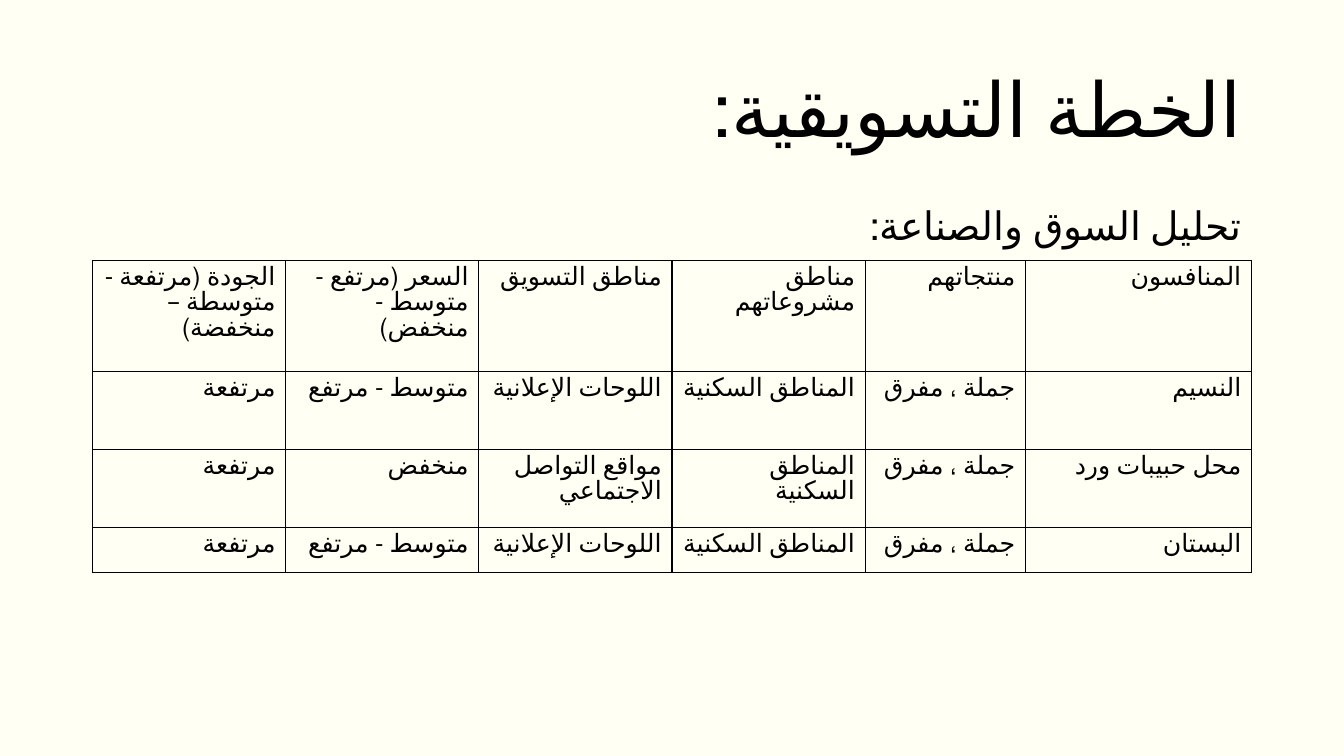
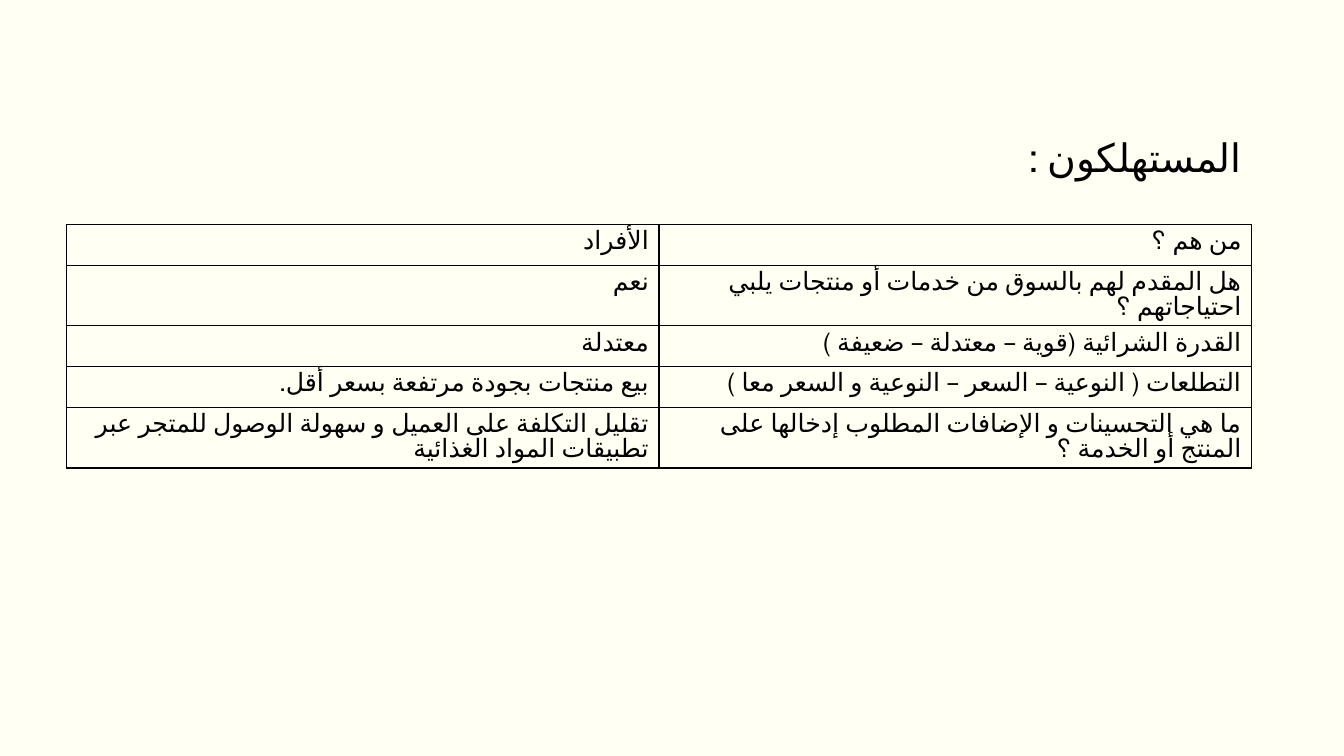
from lxml.etree import SubElement
from pptx import Presentation
from pptx.dml.color import RGBColor
from pptx.enum.text import MSO_ANCHOR, PP_ALIGN
from pptx.oxml.ns import qn
from pptx.util import Pt

BACKGROUND = RGBColor(0xFF, 0xFF, 0xF3)
INK = RGBColor(0, 0, 0)
FONT = "Calibri"
RIGHT_EDGE = 894
TEXT_WIDTH = 828

SLIDES = [
    {
        "title": "الخطة التسويقية:",
        "heading": "تحليل السوق والصناعة:",
        "heading_top": 144,
        "heading_height": 343,
        "table_top": 186,
        "columns": [138, 138, 138, 138, 114.5, 161.5],
        "heights": [79.2, 55.7, 55.7, 32.2],
        "rows": [
            ["الجودة (مرتفعة - متوسطة – منخفضة)", "السعر (مرتفع - متوسط - منخفض)",
             "مناطق التسويق", "مناطق مشروعاتهم", "منتجاتهم", "المنافسون"],
            ["مرتفعة", "متوسط - مرتفع", "اللوحات الإعلانية",
             "المناطق السكنية", "جملة ، مفرق", "النسيم"],
            ["مرتفعة", "منخفض", "مواقع التواصل الاجتماعي",
             "المناطق\nالسكنية", "جملة ، مفرق", "محل حبيبات ورد"],
            ["مرتفعة", "متوسط - مرتفع", "اللوحات الإعلانية",
             "المناطق السكنية", "جملة ، مفرق", "البستان"],
        ],
    },
    {
        "title": None,
        "heading": "المستهلكون :",
        "heading_top": 95.4,
        "heading_height": 391,
        "table_top": 160.3,
        "columns": [423.3, 423.3],
        "heights": [29.2, 42.9, 29.2, 29.2, 42.9],
        "rows": [
            ["الأفراد", "من هم ؟"],
            ["نعم", "هل المقدم لهم بالسوق من خدمات أو منتجات يلبي احتياجاتهم ؟"],
            ["معتدلة", "القدرة الشرائية (قوية – معتدلة – ضعيفة )"],
            ["بيع منتجات بجودة مرتفعة بسعر أقل.",
             "التطلعات ( النوعية – السعر – النوعية و السعر معا )"],
            ["تقليل التكلفة على العميل و سهولة الوصول للمتجر عبر تطبيقات المواد الغذائية",
             "ما هي التحسينات و الإضافات المطلوب إدخالها على المنتج أو الخدمة ؟"],
        ],
    },
]


def write_text(frame, text, size=18, line_spacing=0.9, space_before=None):
    frame.word_wrap = True
    frame.text = text
    for paragraph in frame.paragraphs:
        paragraph.alignment = PP_ALIGN.RIGHT
        paragraph.line_spacing = line_spacing
        paragraph.space_before = space_before
        paragraph._p.get_or_add_pPr().set("rtl", "1")
        for run in paragraph.runs:
            run.font.size = Pt(size)
            run.font.name = FONT
            run.font.color.rgb = INK
            run.font._element.set("lang", "ar-SA")


def add_text(slide, text, top, height, anchor=MSO_ANCHOR.TOP, **text_format):
    box = slide.shapes.add_textbox(
        Pt(RIGHT_EDGE - TEXT_WIDTH), Pt(top), Pt(TEXT_WIDTH), Pt(height))
    box.text_frame.vertical_anchor = anchor
    write_text(box.text_frame, text, **text_format)


def style_cell(cell):
    cell.fill.background()
    properties = cell._tc.get_or_add_tcPr()
    for position, side in enumerate(("a:lnL", "a:lnR", "a:lnT", "a:lnB")):
        line = SubElement(properties, qn(side), w=str(Pt(1)))
        fill = SubElement(line, qn("a:solidFill"))
        SubElement(fill, qn("a:srgbClr"), val=str(INK))
        properties.insert(position, line)


def add_grid(slide, rows, top, columns, heights):
    width = sum(columns)
    table = slide.shapes.add_table(
        len(rows), len(columns), Pt(RIGHT_EDGE - width), Pt(top),
        Pt(width), Pt(sum(heights))).table
    table.first_row = False
    table.horz_banding = False
    for column, column_width in zip(table.columns, columns):
        column.width = Pt(column_width)
    for row, height, texts in zip(table.rows, heights, rows):
        row.height = Pt(height)
        for cell, text in zip(row.cells, texts):
            write_text(cell.text_frame, text, line_spacing=Pt(18))
            style_cell(cell)


def main():
    presentation = Presentation()
    presentation.slide_width = Pt(960)
    presentation.slide_height = Pt(540)
    fill = presentation.slide_master.background.fill
    fill.solid()
    fill.fore_color.rgb = BACKGROUND
    for content in SLIDES:
        slide = presentation.slides.add_slide(presentation.slide_layouts[6])
        if content["title"]:
            add_text(slide, content["title"], 28.75, 104.4,
                     anchor=MSO_ANCHOR.MIDDLE, size=54)
        add_text(slide, content["heading"], content["heading_top"],
                 content["heading_height"], size=28, space_before=Pt(10))
        add_grid(slide, content["rows"], content["table_top"],
                 content["columns"], content["heights"])
    presentation.save("out.pptx")


if __name__ == "__main__":
    main()
